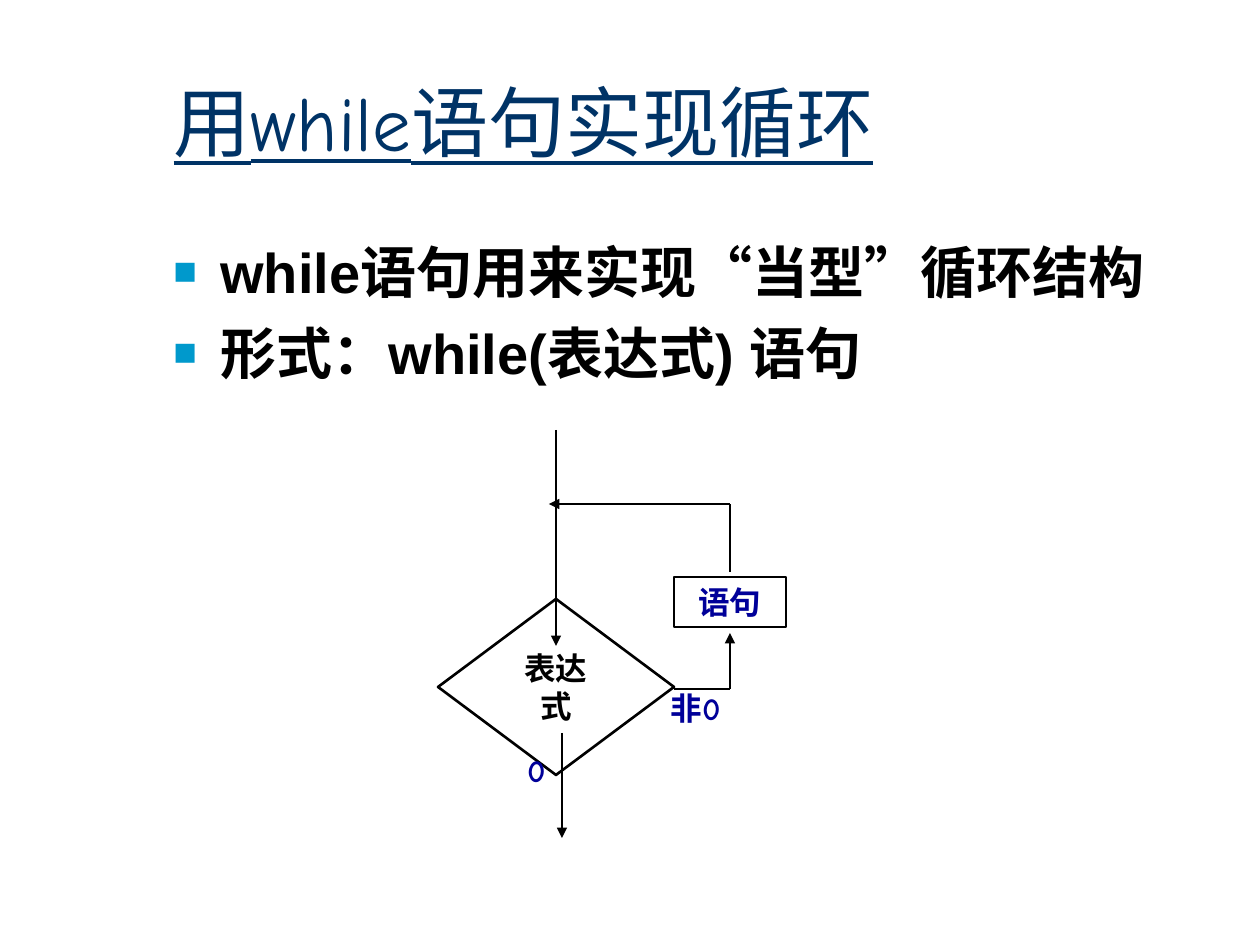
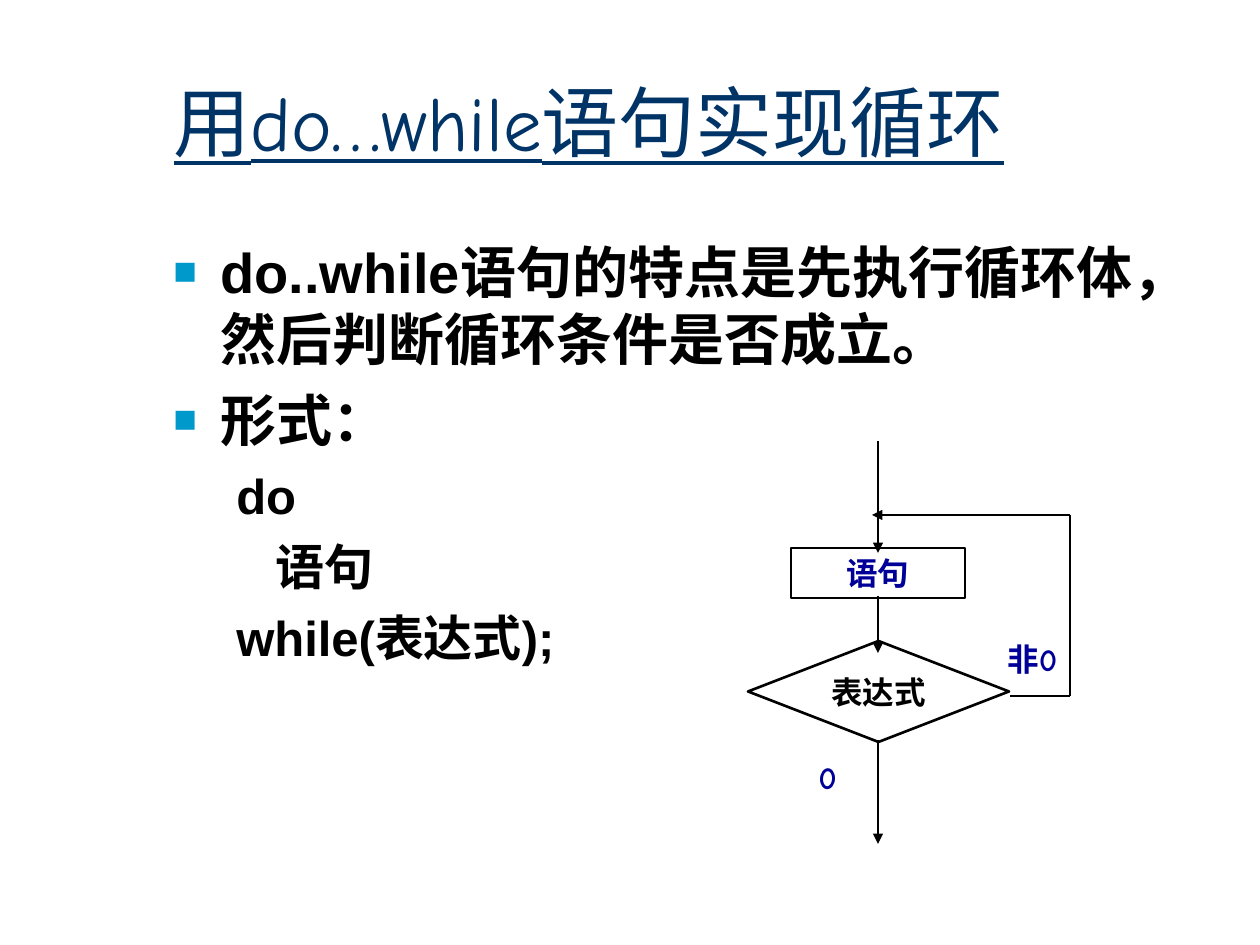
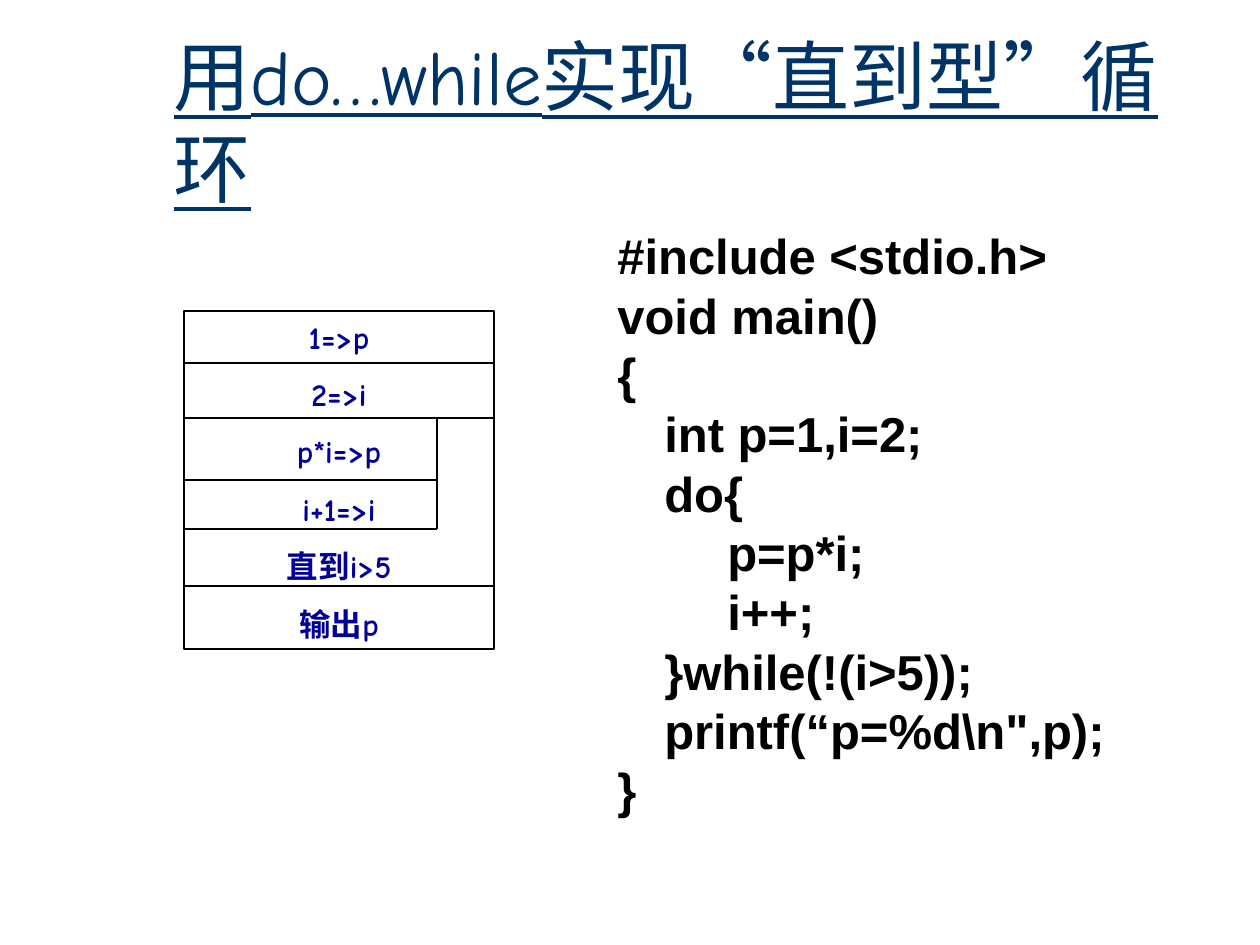
from collections import namedtuple

from lxml.etree import SubElement
from pptx import Presentation
from pptx.dml.color import RGBColor
from pptx.enum.shapes import MSO_CONNECTOR, MSO_SHAPE
from pptx.enum.text import MSO_ANCHOR, MSO_AUTO_SIZE, PP_ALIGN
from pptx.oxml.ns import qn
from pptx.util import Emu, Pt

Box = namedtuple("Box", "left top width height")
Style = namedtuple("Style", "font size color bold underline")

BLACK, NAVY, BLUE, CYAN = "000000", "003366", "000099", "0099CC"
TITLE = Style("Comic Neue", 44, NAVY, False, True)
BODY = Style("Arial", 32, BLACK, True, False)
CODE = BODY._replace(size=28)
NODE = Style("Comic Neue", 18, BLACK, True, False)
LABEL = NODE._replace(color=BLUE)

TITLE_BOX = Box(161, 42, 1071, 157)
BODY_BOX = Box(161, 231, 1071, 609)
CODE_BOX = Box(605, 231, 595, 609)
HANGING = 47
INCH = 126


def px(count):
    return Emu(round(count * 914400 / INCH))


def rgb(value):
    return RGBColor.from_string(value)


def inside(box, part):
    left, top, width, height = part
    return Box(box.left + left, box.top + top, width, height)


def prepare_frame(shape, anchor):
    frame = shape.text_frame
    frame.word_wrap = True
    frame.auto_size = MSO_AUTO_SIZE.NONE
    frame.vertical_anchor = anchor
    frame.margin_left = frame.margin_right = Pt(7.2)
    frame.margin_top = frame.margin_bottom = Pt(3.6)
    return frame


def add_para(frame, text, style, align=PP_ALIGN.LEFT, before=0):
    first = not frame.paragraphs[0].runs
    para = frame.paragraphs[0] if first else frame.add_paragraph()
    para.alignment = align
    para.space_before = Pt(0 if first else before)
    span = para.add_run()
    span.text = text
    span.font.name = style.font
    span.font.size = Pt(style.size)
    span.font.bold = style.bold
    span.font.underline = style.underline
    span.font.color.rgb = rgb(style.color)
    return para


def set_indent(para, left, first=0):
    props = para._p.get_or_add_pPr()
    props.set("marL", str(px(left)))
    props.set("indent", str(px(first)))
    return props


def add_bullet(para):
    props = set_indent(para, HANGING, -HANGING)
    color = SubElement(props, qn("a:buClr"))
    SubElement(color, qn("a:srgbClr"), val=CYAN)
    SubElement(props, qn("a:buSzPct"), val="70000")
    SubElement(props, qn("a:buFont"), typeface="Arial")
    SubElement(props, qn("a:buChar"), char="■")


def add_tabs(para):
    stops = SubElement(set_indent(para, HANGING, -HANGING), qn("a:tabLst"))
    for inch in range(8):
        SubElement(stops, qn("a:tab"), pos=str(px(inch * INCH)), algn="l")


def add_text_box(page, box):
    return page.shapes.add_textbox(*map(px, box))


def add_node(page, kind, box, lines, style):
    node = page.shapes.add_shape(kind, *map(px, box))
    node.shadow.inherit = False
    node.fill.background()
    node.line.color.rgb = rgb(BLACK)
    node.line.width = Pt(1.5)
    frame = prepare_frame(node, MSO_ANCHOR.MIDDLE)
    for line in lines:
        add_para(frame, line, style, PP_ALIGN.CENTER, 11.2)


def add_line(page, box, ends, arrow=False):
    x1, y1, x2, y2 = ends
    line = page.shapes.add_connector(
        MSO_CONNECTOR.STRAIGHT,
        px(box.left + x1), px(box.top + y1), px(box.left + x2), px(box.top + y2))
    line.line.color.rgb = rgb(BLACK)
    line.line.width = Pt(1.5)
    if arrow:
        SubElement(line.line._get_or_add_ln(), qn("a:tailEnd"), type="triangle")
    SubElement(line._element.spPr, qn("a:effectLst"))


def add_page(deck, title):
    page = deck.slides.add_slide(deck.slide_layouts[5])
    shape = page.shapes.title
    shape.left, shape.top, shape.width, shape.height = map(px, TITLE_BOX)
    add_para(prepare_frame(shape, MSO_ANCHOR.MIDDLE), title, TITLE)
    return page


def add_body(page, box, bullets, syntax=()):
    frame = prepare_frame(add_text_box(page, box), MSO_ANCHOR.TOP)
    for text in bullets:
        add_bullet(add_para(frame, text, BODY, before=8))
    for left, text in syntax:
        set_indent(add_para(frame, text, CODE, before=7), left)


def add_code(page, box, lines):
    frame = prepare_frame(add_text_box(page, box), MSO_ANCHOR.TOP)
    for line in lines:
        para = add_para(frame, line, CODE, before=7)
        para.line_spacing = 0.8
        add_tabs(para)


def add_flowchart(page, box, decision, process, labels, lines, arrows):
    add_node(page, MSO_SHAPE.FLOWCHART_DECISION, inside(box, decision), ["表达式"], NODE)
    add_node(page, MSO_SHAPE.FLOWCHART_PROCESS, inside(box, process), ["语句"], LABEL)
    for text, part in labels.items():
        frame = prepare_frame(add_text_box(page, inside(box, part)), MSO_ANCHOR.TOP)
        add_para(frame, text, LABEL, PP_ALIGN.CENTER)
    for ends in lines:
        add_line(page, box, ends)
    for ends in arrows:
        add_line(page, box, ends, arrow=True)


def add_structure_chart(page, box, steps):
    loop_top, loop_bottom, loop_width = 107, 218, 253
    add_node(page, MSO_SHAPE.RECTANGLE, box, steps, LABEL)
    for y in (52, loop_top, 275):
        add_line(page, box, (0, y, box.width, y))
    for y in (169, loop_bottom):
        add_line(page, box, (0, y, loop_width, y))
    add_line(page, box, (loop_width, loop_top, loop_width, loop_bottom))


def build_while(deck):
    page = add_page(deck, "用while语句实现循环")
    add_body(page, BODY_BOX, ["while语句用来实现“当型”循环结构", "形式：while(表达式) 语句"])
    add_flowchart(
        page, Box(438, 430, 348, 408),
        decision=(0, 169, 236, 176),
        process=(236, 147, 112, 50),
        labels={"0": (77, 315, 40, 50), "非0": (218, 253, 79, 88)},
        lines=[(236, 259, 292, 259), (292, 74, 292, 142)],
        arrows=[(118, 0, 118, 216), (124, 303, 124, 408),
                (292, 74, 111, 74), (292, 259, 292, 203)])


def build_do_while(deck):
    page = add_page(deck, "用do…while语句实现循环")
    add_body(
        page, BODY_BOX,
        ["do..while语句的特点是先执行循环体，然后判断循环条件是否成立。", "形式："],
        [(63, "do"), (102, "语句"), (63, "while(表达式);")])
    add_flowchart(
        page, Box(748, 441, 322, 403),
        decision=(0, 200, 261, 101),
        process=(43, 107, 174, 50),
        labels={"非0": (241, 193, 87, 50), "0": (18, 311, 123, 50)},
        lines=[(262, 255, 322, 255), (322, 74, 322, 255)],
        arrows=[(130, 0, 130, 112), (130, 299, 130, 403),
                (322, 74, 124, 74), (130, 155, 130, 212)])


def build_until(deck):
    page = add_page(deck, "用do…while实现“直到型”循环")
    add_code(page, CODE_BOX, [
        "#include <stdio.h>",
        "void main()",
        "{",
        "\tint p=1,i=2;",
        "\tdo{",
        "\t\tp=p*i;",
        "\t\ti++;",
        "\t}while(!(i>5));",
        "\tprintf(“p=%d\\n\",p);",
        "}",
    ])
    add_structure_chart(
        page, Box(184, 311, 310, 338),
        ["1=>p", "2=>i", "p*i=>p", "i+1=>i", "直到i>5", "输出p"])


def main():
    deck = Presentation()
    deck.slide_width, deck.slide_height = px(1260), px(945)
    build_while(deck)
    build_do_while(deck)
    build_until(deck)
    deck.save("out.pptx")


if __name__ == "__main__":
    main()
